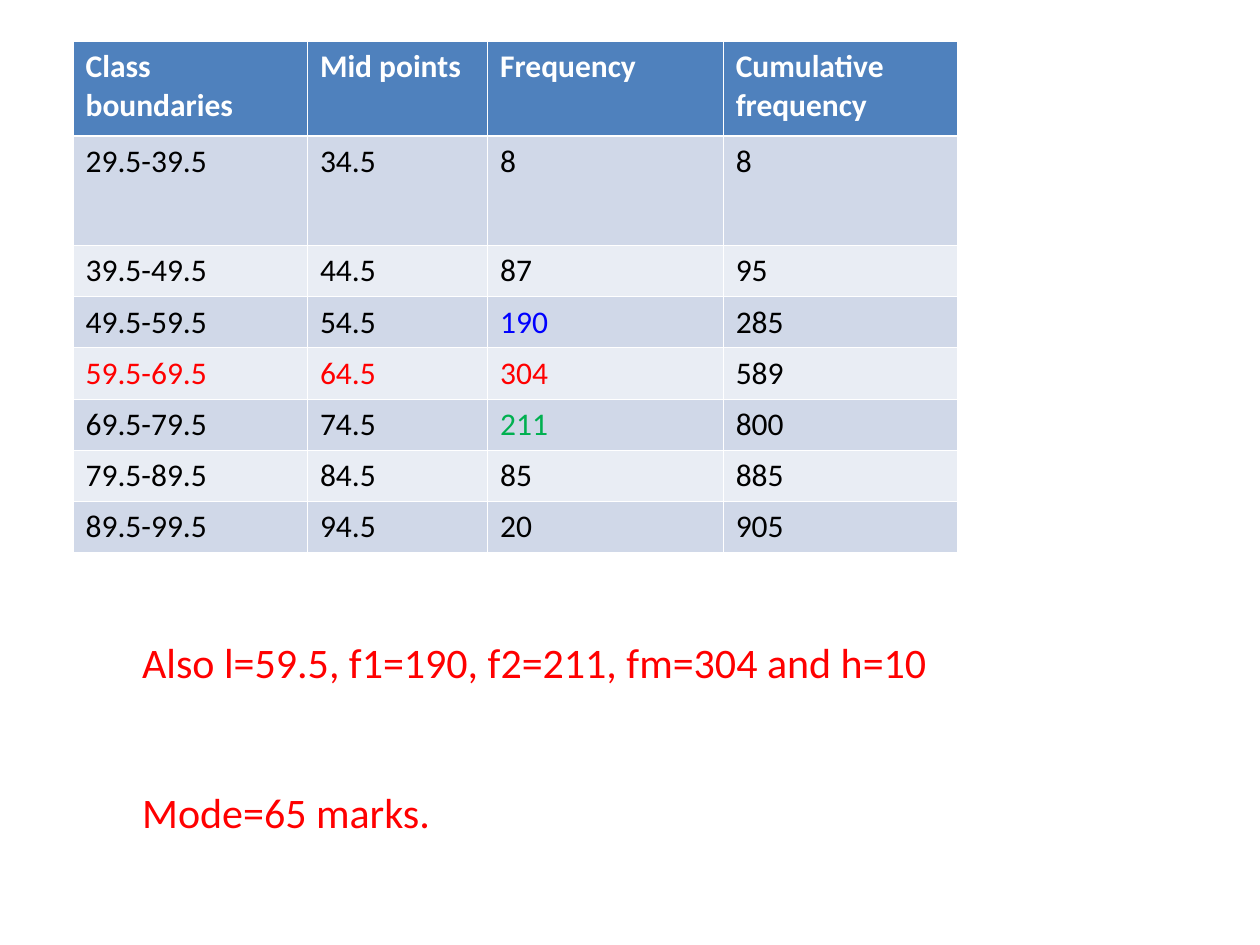
"""Build a slide with a grouped frequency table and the mode worked out from it."""
from lxml.etree import SubElement
from pptx import Presentation
from pptx.dml.color import RGBColor
from pptx.enum.text import MSO_AUTO_SIZE
from pptx.oxml.ns import qn
from pptx.util import Inches, Pt

WHITE = RGBColor(0xFF, 0xFF, 0xFF)
BLACK = RGBColor(0x00, 0x00, 0x00)
RED = RGBColor(0xFF, 0x00, 0x00)
BLUE = RGBColor(0x00, 0x00, 0xFF)
GREEN = RGBColor(0x00, 0xB0, 0x50)
HEADER_FILL = RGBColor(0x4F, 0x81, 0xBD)
DARK_BAND = RGBColor(0xD0, 0xD8, 0xE8)
LIGHT_BAND = RGBColor(0xE9, 0xED, 0xF4)

HEADERS = ["Class boundaries", "Mid points", "Frequency", "Cumulative frequency"]
FREQUENCIES = [8, 87, 190, 304, 211, 85, 20]
COLUMN_WIDTHS = [1.86, 1.43, 1.87, 1.86]
ROW_HEIGHTS = [0.75, 0.87] + [0.4] * 6
HIGHLIGHTS = {(3, 2): BLUE, (4, 0): RED, (4, 1): RED, (4, 2): RED, (5, 2): GREEN}


def set_border(cell, side, points):
    line = SubElement(cell._tc.get_or_add_tcPr(), qn(f"a:ln{side}"), w=str(Pt(points)))
    fill = SubElement(line, qn("a:solidFill"))
    SubElement(fill, qn("a:srgbClr"), val=str(WHITE))


def format_font(paragraph, size, color, bold=False):
    paragraph.font.name = "Calibri"
    paragraph.font.size = Pt(size)
    paragraph.font.bold = bold
    paragraph.font.color.rgb = color


presentation = Presentation()
presentation.slide_width = Inches(10)
presentation.slide_height = Inches(7.5)
slide = presentation.slides.add_slide(presentation.slide_layouts[6])

rows = [HEADERS]
for index, frequency in enumerate(FREQUENCIES):
    lower = 29.5 + 10 * index
    cumulative = sum(FREQUENCIES[:index + 1])
    rows.append([f"{lower}-{lower + 10}", str(lower + 5), str(frequency), str(cumulative)])

table = slide.shapes.add_table(
    len(rows), len(HEADERS), Inches(0.58), Inches(0.33),
    Inches(sum(COLUMN_WIDTHS)), Inches(sum(ROW_HEIGHTS)),
).table
for column, width in zip(table.columns, COLUMN_WIDTHS):
    column.width = Inches(width)

for row_index, (values, height) in enumerate(zip(rows, ROW_HEIGHTS)):
    table.rows[row_index].height = Inches(height)
    is_header = row_index == 0
    band = HEADER_FILL if is_header else DARK_BAND if row_index % 2 else LIGHT_BAND
    for column_index, value in enumerate(values):
        cell = table.cell(row_index, column_index)
        cell.text = value
        color = WHITE if is_header else HIGHLIGHTS.get((row_index, column_index), BLACK)
        format_font(cell.text_frame.paragraphs[0], 18, color, is_header)
        for side in "LRTB":
            under_header = (row_index, side) in [(0, "B"), (1, "T")]
            set_border(cell, side, 1.47 if under_header else 0.45)
        cell.fill.solid()
        cell.fill.fore_color.rgb = band

result_box = slide.shapes.add_textbox(Inches(1.03), Inches(5), Inches(6.5), Inches(1.7))
text_frame = result_box.text_frame
text_frame.word_wrap = False
text_frame.auto_size = MSO_AUTO_SIZE.SHAPE_TO_FIT_TEXT
text_frame.text = "Also l=59.5, f1=190, f2=211, fm=304 and h=10\nMode=65 marks."
for paragraph in text_frame.paragraphs:
    format_font(paragraph, 24, RED)
text_frame.paragraphs[1].space_before = Pt(57)

presentation.save("out.pptx")
